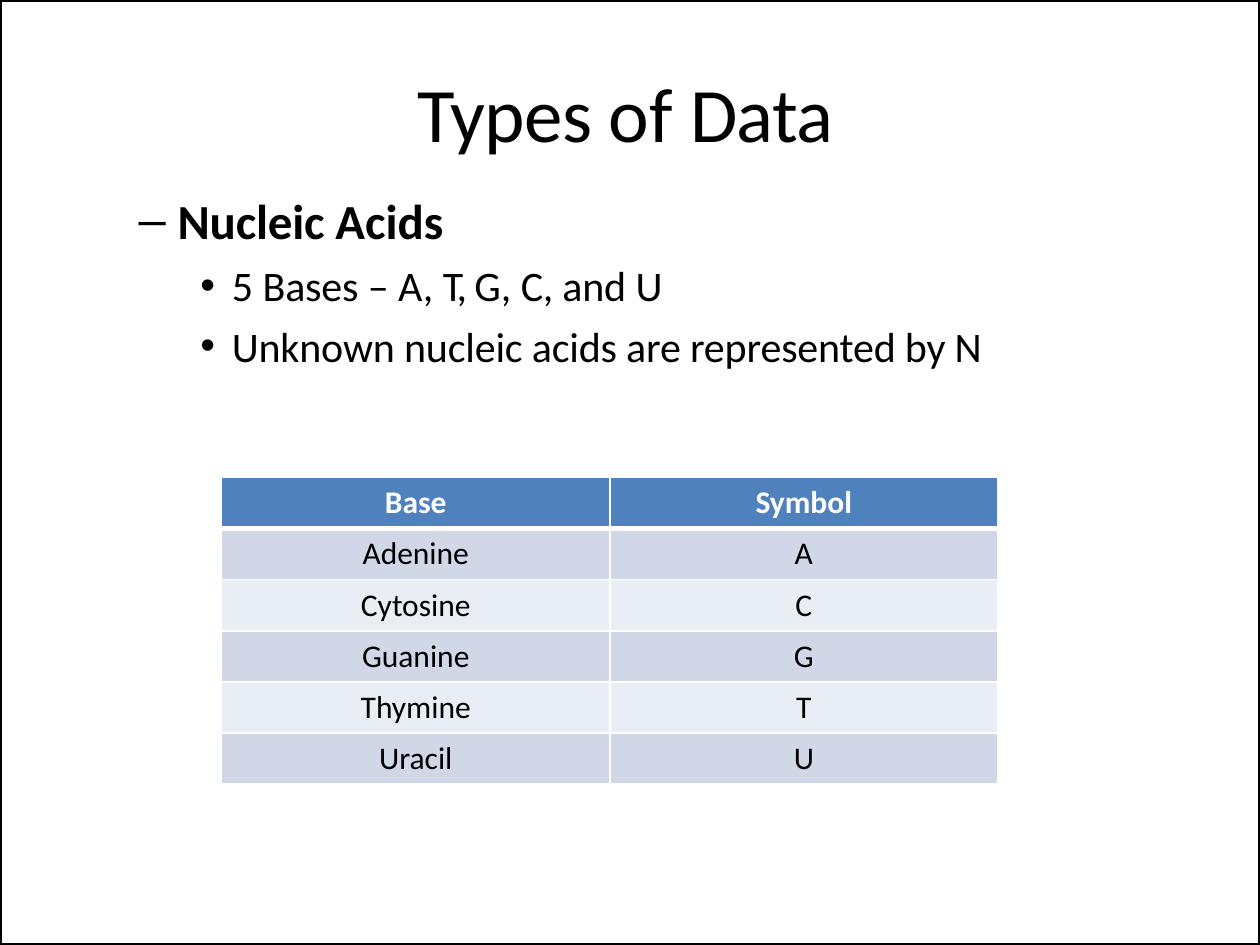
import pptx
import pptx.util
import pptx.dml.color
import pptx.enum.shapes
import pptx.enum.text
import pptx.oxml
import pptx.oxml.ns

WIDTH, HEIGHT = 10, 7.5
FONT = "Calibri"
BLACK, WHITE, HEADER = "000000", "FFFFFF", "4F81BD"
BANDS = ["D0D8E8", "E9EDF4"]

TITLE = [("Types ", -0.4), ("of ", -0.1), ("Data", -0.3)]
POINTS = [
    (1, 7, [("Nucleic ", -0.1), ("Acids", 0)]),
    (2, 6, [("5 ", 0), ("Bases ", -0.1), ("– A, ", 0), ("T, ", -1.3),
            ("G, ", 0), ("C, and ", -0.1), ("U", 0)]),
    (2, 5.8, [("Unknown nucleic acids are represented by ", -0.1), ("N", 0)]),
]
LEVELS = {
    1: dict(bullet="–", margin=0.83, indent=-0.31, size=28, bold=True),
    2: dict(bullet="•", margin=1.26, indent=-0.25, size=24, bold=False),
}
BASES = [("Base", "Symbol"), ("Adenine", "A"), ("Cytosine", "C"),
         ("Guanine", "G"), ("Thymine", "T"), ("Uracil", "U")]

TITLE_BOX = (3.31, 0.51, 3.38, 0.76)
BODY_BOX = (0.58, 1.5, 8.52, 1.46)
TABLE_BOX = (1.76, 3.79, 6.16, 2.43)


def inches(*lengths):
    return [pptx.util.Inches(length) for length in lengths]


def color(value):
    return pptx.dml.color.RGBColor.from_string(value)


def add_text(paragraph, text, size=18, bold=False, fill=BLACK, spacing=0):
    run = paragraph.add_run()
    run.text = text
    run.font.name = FONT
    run.font.size = pptx.util.Pt(size)
    run.font.bold = bold
    run.font.color.rgb = color(fill)
    if spacing:
        run.font._element.set("spc", str(round(spacing * 100)))


def place(placeholder, box):
    placeholder.left, placeholder.top, placeholder.width, placeholder.height = inches(*box)
    frame = placeholder.text_frame
    frame.margin_left = frame.margin_right = frame.margin_bottom = 0
    frame.margin_top = pptx.util.Inches(0.01)
    frame.vertical_anchor = pptx.enum.text.MSO_ANCHOR.TOP
    frame.auto_size = pptx.enum.text.MSO_AUTO_SIZE.NONE
    frame.word_wrap = True
    return frame


def format_bullet(paragraph, bullet, margin, indent):
    properties = paragraph._p.get_or_add_pPr()
    properties.set("marL", str(pptx.util.Inches(margin)))
    properties.set("indent", str(pptx.util.Inches(indent)))
    mark = pptx.oxml.parse_xml(
        f'<a:buChar {pptx.oxml.ns.nsdecls("a")} char="{bullet}"/>')
    properties.append(mark)


def add_borders(cell, bottom, top):
    properties = cell._tc.get_or_add_tcPr()
    for side, width in dict(L=1, R=1, T=top, B=bottom).items():
        properties.append(pptx.oxml.parse_xml(
            f'<a:ln{side} {pptx.oxml.ns.nsdecls("a")} w="{pptx.util.Pt(width)}">'
            f'<a:solidFill><a:srgbClr val="{WHITE}"/></a:solidFill></a:ln{side}>'))


def add_title(slide):
    paragraph = place(slide.shapes.title, TITLE_BOX).paragraphs[0]
    paragraph.alignment = pptx.enum.text.PP_ALIGN.LEFT
    paragraph.space_before = pptx.util.Pt(1)
    for text, spacing in TITLE:
        add_text(paragraph, text, size=44, spacing=spacing)


def add_points(slide):
    frame = place(slide.placeholders[1], BODY_BOX)
    for index, (level, before, runs) in enumerate(POINTS):
        paragraph = frame.add_paragraph() if index else frame.paragraphs[0]
        style = LEVELS[level]
        paragraph.level = level
        paragraph.space_before = pptx.util.Pt(before)
        format_bullet(paragraph, style["bullet"], style["margin"], style["indent"])
        for text, spacing in runs:
            add_text(paragraph, text, size=style["size"], bold=style["bold"],
                     spacing=spacing)


def add_frame(slide):
    frame = slide.shapes.add_shape(
        pptx.enum.shapes.MSO_SHAPE.RECTANGLE, *inches(0, 0, WIDTH, HEIGHT))
    frame.shadow.inherit = False
    frame.fill.background()
    frame.line.color.rgb = color(BLACK)
    frame.line.width = pptx.util.Pt(2)


def add_base_table(slide):
    table = slide.shapes.add_table(
        len(BASES), len(BASES[0]), *inches(*TABLE_BOX)).table
    for row, texts in enumerate(BASES):
        header = row == 0
        for column, text in enumerate(texts):
            cell = table.cell(row, column)
            add_borders(cell, bottom=3 if header else 1, top=3 if row == 1 else 1)
            cell.fill.solid()
            cell.fill.fore_color.rgb = color(HEADER if header else BANDS[(row - 1) % 2])
            paragraph = cell.text_frame.paragraphs[0]
            paragraph.alignment = pptx.enum.text.PP_ALIGN.CENTER
            add_text(paragraph, text, bold=header, fill=WHITE if header else BLACK)


def main():
    presentation = pptx.Presentation()
    presentation.slide_width, presentation.slide_height = inches(WIDTH, HEIGHT)
    slide = presentation.slides.add_slide(presentation.slide_layouts[1])
    slide.background.fill.solid()
    slide.background.fill.fore_color.rgb = color(WHITE)
    add_title(slide)
    add_points(slide)
    add_frame(slide)
    add_base_table(slide)
    presentation.save("out.pptx")


if __name__ == "__main__":
    main()
